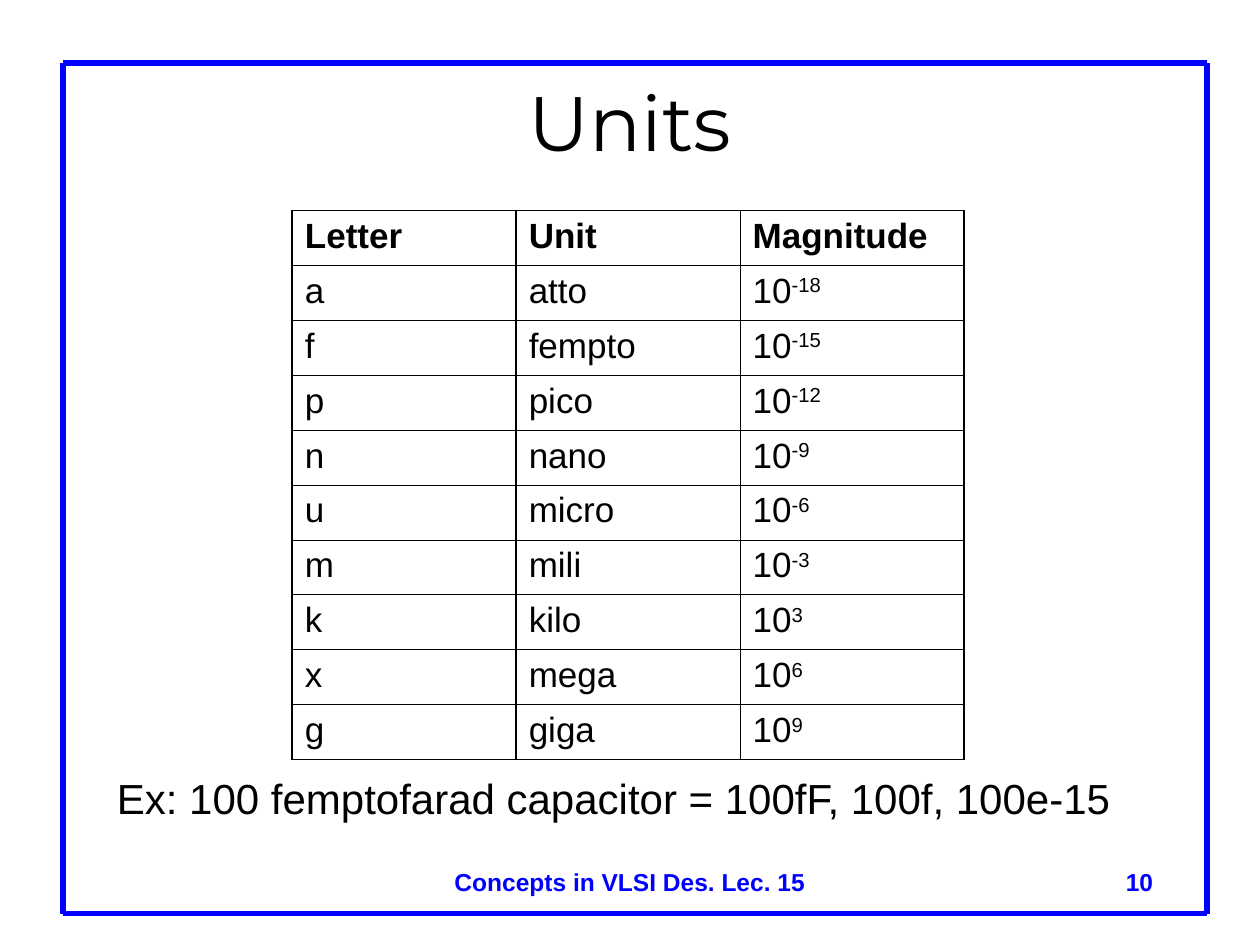
from pptx import Presentation
from pptx.dml.color import RGBColor
from pptx.enum.shapes import MSO_CONNECTOR as Link
from pptx.enum.text import MSO_ANCHOR as Anchor, MSO_AUTO_SIZE as Fit, PP_ALIGN as Align
from pptx.oxml.ns import qn
from pptx.util import Inches, Pt
from lxml.etree import SubElement as Sub

BLACK, BLUE = "000000", "0000FF"
THIN, THICK = 0.45, 1.08
UNITS = [
    ("a", "atto", "-18"),
    ("f", "fempto", "-15"),
    ("p", "pico", "-12"),
    ("n", "nano", "-9"),
    ("u", "micro", "-6"),
    ("m", "mili", "-3"),
    ("k", "kilo", "3"),
    ("x", "mega", "6"),
    ("g", "giga", "9"),
]


def tint(code):
    """Turn a hex string into a colour."""
    return RGBColor.from_string(code)


class Deck:
    """Hold the style and the current slide."""

    def __init__(self, face, head):
        """Open a deck with one titled slide."""
        self.face, self.head = face, head
        self.show = Presentation()
        self.show.slide_width, self.show.slide_height = Inches(10), Inches(7.5)
        self.slide = self.show.slides.add_slide(self.show.slide_layouts[5])

    def style(self, para, size, code=BLACK, bold=False, face=None):
        """Format every run of a paragraph."""
        for run in para.runs:
            font = run.font
            font.name, font.size, font.bold = face or self.face, Pt(size), bold
            font.color.rgb = tint(code)

    def title(self, text, box):
        """Place and fill the title."""
        hold = self.slide.shapes.title
        hold.left, hold.top, hold.width, hold.height = map(Inches, box)
        frame = hold.text_frame
        frame.text = text
        frame.auto_size, frame.vertical_anchor = Fit.NONE, Anchor.MIDDLE
        frame.paragraphs[0].alignment = Align.CENTER
        self.style(frame.paragraphs[0], 44, face=self.head)

    def text(self, text, box, size, code=BLACK, bold=False, align=Align.LEFT):
        """Add a wrapped line of text."""
        frame = self.slide.shapes.add_textbox(*map(Inches, box)).text_frame
        frame.word_wrap = True
        frame.text = text
        frame.paragraphs[0].alignment = align
        self.style(frame.paragraphs[0], size, code, bold)

    def line(self, start, end):
        """Add one blue line."""
        ends = map(Inches, (*start, *end))
        line = self.slide.shapes.add_connector(Link.STRAIGHT, *ends)
        line.line.color.rgb, line.line.width = tint(BLUE), Pt(3)
        Sub(line._element.spPr, qn("a:effectLst"))

    def frame(self, left, top, right, low):
        """Draw the four lines round the slide."""
        for start, end in [
            ((left, top), (left, low)),
            ((left, top), (right, top)),
            ((right, top), (right, low)),
            ((left, low), (right, low)),
        ]:
            self.line(start, end)

    def edge(self, cell, sides):
        """Draw the borders of a cell."""
        props = cell._tc.get_or_add_tcPr()
        for side, width in zip("LRTB", sides):
            line = Sub(props, qn(f"a:ln{side}"), w=str(Pt(width)))
            Sub(Sub(line, qn("a:solidFill")), qn("a:srgbClr"), val=BLACK)

    def cell(self, cell, text, power="", bold=False):
        """Fill a cell, with a raised power if given."""
        para = cell.text_frame.paragraphs[0]
        para.text = text
        if power:
            para.add_run().text = power
        self.style(para, 20, bold=bold)
        if power:
            para.runs[1].font._element.set("baseline", "30000")

    def table(self, names, rows, box):
        """Add the table of units."""
        count, wide = len(rows) + 1, len(names)
        grid = self.slide.shapes.add_table(count, wide, *map(Inches, box)).table
        grid.first_row = grid.horz_banding = False
        cols = [THICK, THICK, THIN, THICK]
        lines = [THICK, THICK] + [THIN] * (count - 2) + [THICK]
        for r in range(count):
            for c in range(wide):
                cell = grid.cell(r, c)
                self.edge(cell, (*cols[c:c + 2], *lines[r:r + 2]))
                cell.fill.background()
                if r == 0:
                    self.cell(cell, names[c], bold=True)
                elif c == wide - 1:
                    self.cell(cell, "10", rows[r - 1][c])
                else:
                    self.cell(cell, rows[r - 1][c])


def main():
    """Build and save the slide."""
    deck = Deck("Arial", "Montserrat")
    deck.frame(0.5, 0.5, 9.58, 7.25)
    deck.title("Units", (0.75, 0.58, 8.5, 0.75))
    deck.table(("Letter", "Unit", "Magnitude"), UNITS, (2.32, 1.67, 5.33, 4.36))
    deck.text("Ex: 100 femptofarad capacitor = 100fF, 100f, 100e-15",
              (0.83, 6.08, 8.75, 0.5), 24)
    deck.text("Concepts in VLSI Des. Lec. 15", (0.75, 6.83, 8.5, 0.5),
              14, BLUE, True, Align.CENTER)
    deck.text("10", (7.17, 6.83, 2.08, 0.5), 14, BLUE, True, Align.RIGHT)
    deck.show.save("out.pptx")


if __name__ == "__main__":
    main()
